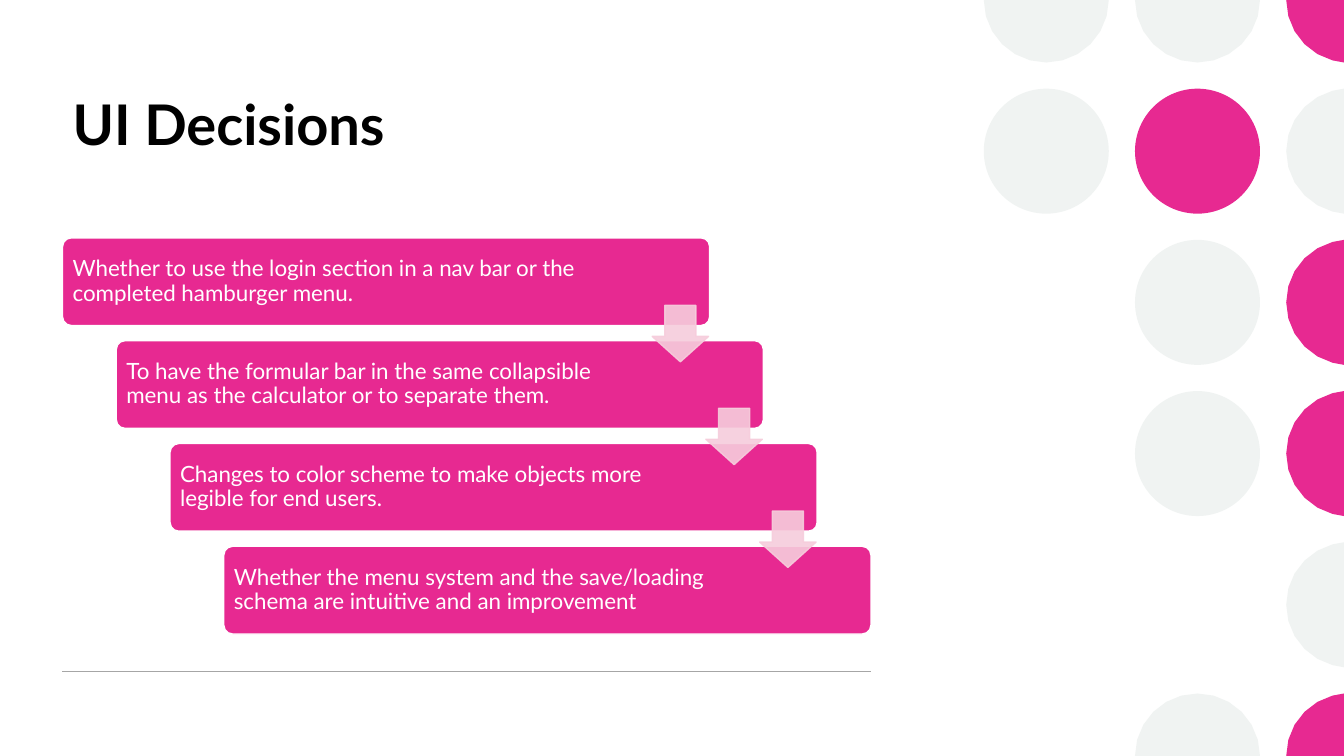
import math

import pptx
import pptx.dml.color
import pptx.enum.shapes
import pptx.enum.text
import pptx.oxml
import pptx.oxml.ns
import pptx.util

THEME = {
    "pink": "E72991", "pale": "F0F3F2", "arrow": "F6CDDC",
    "rule": "A6A6A6", "white": "FFFFFF", "black": "000000",
    "font": "Lato", "title": 40, "body": 16,
}
DRAWING = 'xmlns:a="http://schemas.openxmlformats.org/drawingml/2006/main"'
inch = pptx.util.Inches
SHAPES = pptx.enum.shapes.MSO_SHAPE


def paint(shape, fill, line=None):
    """Flat fill, optional 1 pt outline, no shadow."""
    shape.shadow.inherit = False
    shape.fill.solid()
    shape.fill.fore_color.rgb = pptx.dml.color.RGBColor.from_string(THEME[fill])
    if line:
        shape.line.color.rgb = pptx.dml.color.RGBColor.from_string(THEME[line])
        shape.line.width = pptx.util.Pt(1)
    else:
        shape.line.fill.background()


def write(frame, text, size, color, bold=False):
    """Left-aligned wrapped text in the theme font."""
    frame.word_wrap = True
    frame.text = text
    paragraph = frame.paragraphs[0]
    paragraph.alignment = pptx.enum.text.PP_ALIGN.LEFT
    font = paragraph.runs[0].font
    font.name, font.size, font.bold = THEME["font"], pptx.util.Pt(THEME[size]), bold
    font.color.rgb = pptx.dml.color.RGBColor.from_string(THEME[color])


deck = pptx.Presentation()
deck.slide_width, deck.slide_height = inch(13.333), inch(7.5)
slide = deck.slides.add_slide(deck.slide_layouts[5])

# Dot grid: each column lists its dots from the top row down
PITCH, RADIUS, FIRST_X = 1.5, 0.62, 10.38
DOT_COLUMNS = [
    ["pale", "pale"],
    ["pale", "pink", "pale", "pale", None, "pale"],
    ["pink", "pale", "pink", "pink", "pale", "pink"],
]
LAST_COLUMN, LAST_ROW = 2, 5
for column, dots in enumerate(DOT_COLUMNS):
    for row, color in enumerate(dots):
        if color is None:
            continue
        x, y = FIRST_X + column * PITCH, row * PITCH
        if column < LAST_COLUMN and 0 < row < LAST_ROW:
            dot = slide.shapes.add_shape(
                SHAPES.OVAL, inch(x - RADIUS), inch(y - RADIUS),
                inch(2 * RADIUS), inch(2 * RADIUS))
        else:
            # Dots on an edge keep only the arc that lies on the slide
            start = 180 if row == LAST_ROW else 90 if column == LAST_COLUMN else 0
            end = 180 if row == 0 else 270 if column == LAST_COLUMN else 360
            arc = [
                (min(inch(x + RADIUS * math.cos(math.radians(degree))), deck.slide_width),
                 inch(y + RADIUS * math.sin(math.radians(degree))))
                for degree in range(start, end + 1, 15)]
            outline = slide.shapes.build_freeform(
                min(inch(x), deck.slide_width), inch(y))
            outline.add_line_segments(arc, close=True)
            dot = outline.convert_to_shape()
        paint(dot, color)

# Rule under the steps
LEFT, RIGHT = 0.62, 8.64
rule = slide.shapes.add_connector(
    pptx.enum.shapes.MSO_CONNECTOR.STRAIGHT,
    inch(LEFT), inch(6.66), inch(RIGHT), inch(6.66))
rule.line.color.rgb = pptx.dml.color.RGBColor.from_string(THEME["rule"])
rule.line.width = pptx.util.Pt(1)
rule.element.spPr.append(pptx.oxml.parse_xml(f"<a:effectLst {DRAWING}/>"))

# Title
title = slide.shapes.title
title.left, title.top = inch(LEFT), inch(0.84)
title.width, title.height = inch(RIGHT - LEFT), inch(1.39)
write(title.text_frame, "UI Decisions", "title", "black", bold=True)
title.text_frame.vertical_anchor = pptx.enum.text.MSO_ANCHOR.TOP

# Staircase of decisions
DECISIONS = [
    "Whether to use the login section in a nav bar or the completed hamburger menu.",
    "To have the formular bar in the same collapsible menu as the calculator or to separate them.",
    "Changes to color scheme to make objects more legible for end users.",
    "Whether the menu system and the save/loading schema are intuitive and an improvement",
]
TOP, STEP_WIDTH, STEP_HEIGHT, DOWN, INSET = 2.36, 6.42, 0.87, 1.02, 0.03
ACROSS = (RIGHT - LEFT - STEP_WIDTH) / (len(DECISIONS) - 1)
for index, decision in enumerate(DECISIONS):
    x, y = LEFT + index * ACROSS, TOP + index * DOWN
    step = slide.shapes.add_shape(
        SHAPES.ROUNDED_RECTANGLE, inch(x), inch(y), inch(STEP_WIDTH), inch(STEP_HEIGHT))
    step.adjustments[0] = 0.1
    paint(step, "pink", "white")

    wording = slide.shapes.add_textbox(
        inch(x + INSET), inch(y + INSET),
        inch(5.27 if index else 5.41), inch(STEP_HEIGHT - 2 * INSET)).text_frame
    write(wording, decision, "body", "white")
    wording.paragraphs[0].line_spacing = 0.9
    wording.vertical_anchor = pptx.enum.text.MSO_ANCHOR.MIDDLE
    wording.margin_left = wording.margin_right = inch(0.07)
    wording.margin_top = wording.margin_bottom = inch(0.07)

# Translucent arrows from each step to the next
ARROW = 0.56
for index in range(len(DECISIONS) - 1):
    arrow = slide.shapes.add_shape(
        SHAPES.DOWN_ARROW, inch(6.47 + index * ACROSS), inch(3.03 + index * DOWN),
        inch(ARROW), inch(ARROW))
    arrow.adjustments[0], arrow.adjustments[1] = 0.55, 0.45
    paint(arrow, "arrow", "arrow")
    for tint in arrow.element.spPr.iter(pptx.oxml.ns.qn("a:srgbClr")):
        tint.append(pptx.oxml.parse_xml(f'<a:alpha {DRAWING} val="90000"/>'))

deck.save("out.pptx")
